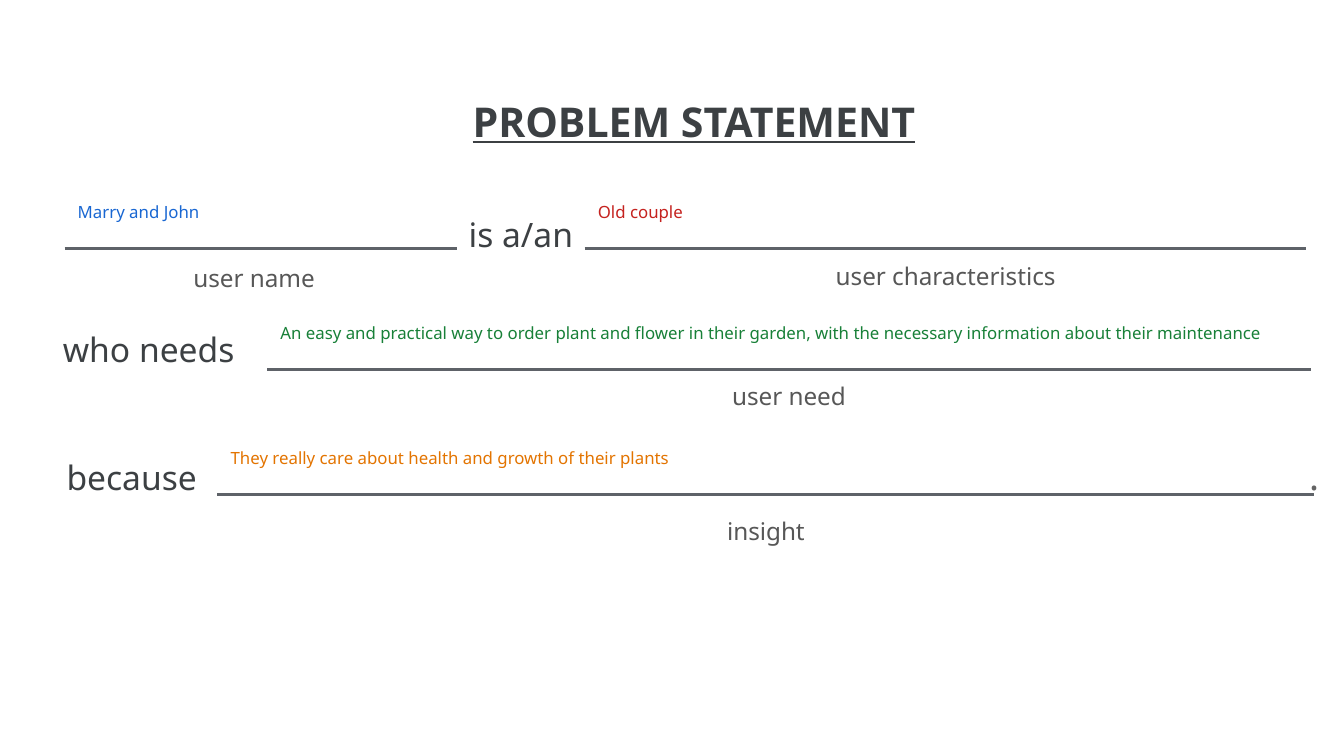
"""Build the fill-in-the-blank problem statement slide."""

import dataclasses

import lxml.etree
import pptx
import pptx.dml.color
import pptx.enum.shapes
import pptx.enum.text
import pptx.oxml.ns
import pptx.slide
import pptx.util

Cm = pptx.util.Cm
Align = pptx.enum.text.PP_ALIGN


@dataclasses.dataclass(frozen=True)
class Theme:
    font: str = "Noto Sans"
    ink: str = "3C4043"
    caption: str = "575757"
    full_stop: str = "646464"
    rule: str = "5E6268"
    name: str = "1967D2"
    characteristics: str = "C5221F"
    need: str = "188038"
    insight: str = "E37400"
    title_size: float = 22
    full_stop_size: float = 20
    phrase_size: float = 18
    caption_size: float = 13
    answer_size: float = 9
    rule_width: float = 1.5
    wide_inset: float = 0.25
    narrow_inset: float = 0.13
    answer_height: float = 1.07


THEME = Theme()


@dataclasses.dataclass(frozen=True)
class Label:
    text: str
    left: float
    top: float
    width: float
    height: float
    size: float
    colour: str
    align: Align = Align.CENTER
    inset: float = THEME.wide_inset
    heading: bool = False


@dataclasses.dataclass(frozen=True)
class Blank:
    left: float
    right: float
    rule_top: float
    answer: str
    colour: str
    caption: str
    caption_drop: float = 0
    caption_shift: float = 0


BLANKS = (
    Blank(1.22, 8.64, 4.7, "Marry and John", THEME.name, "user name", 0.02, -0.13),
    Blank(11.05, 24.69, 4.7, "Old couple", THEME.characteristics,
          "user characteristics", -0.02),
    Blank(5.05, 24.77, 6.98,
          "An easy and practical way to order plant and flower in their garden, "
          "with the necessary information about their maintenance",
          THEME.need, "user need", -0.02),
    Blank(4.11, 24.84, 9.35, "They really care about health and growth of their plants",
          THEME.insight, "insight", 0.15),
)

LABELS = (
    Label("PROBLEM STATEMENT", 1.09, 1.57, 24.05, 1.37, THEME.title_size, THEME.ink,
          heading=True),
    Label("is a/an", 8.64, 3.91, 2.41, 1.02, THEME.phrase_size, THEME.ink,
          inset=THEME.narrow_inset),
    Label("who needs", 0.23, 5.97, 5.16, 1.6, THEME.phrase_size, THEME.ink),
    Label("because", 0.23, 8.38, 4.52, 1.37, THEME.phrase_size, THEME.ink),
    Label(".", 24.61, 8.43, 0.79, 1.12, THEME.full_stop_size, THEME.full_stop,
          Align.LEFT, THEME.narrow_inset),
)


def rgb(colour: str) -> pptx.dml.color.RGBColor:
    """Turn a hex string into a colour."""
    return pptx.dml.color.RGBColor.from_string(colour)


def draw_label(slide: pptx.slide.Slide, label: Label) -> None:
    """Draw one line of text in its box."""
    shape = slide.shapes.add_textbox(
        Cm(label.left), Cm(label.top), Cm(label.width), Cm(label.height))
    frame = shape.text_frame
    frame.word_wrap = True
    frame.vertical_anchor = pptx.enum.text.MSO_ANCHOR.TOP
    frame.margin_left = frame.margin_right = Cm(label.inset)
    frame.margin_top = frame.margin_bottom = Cm(label.inset)
    paragraph = frame.paragraphs[0]
    paragraph.alignment = label.align
    run = paragraph.add_run()
    run.text = label.text
    run.font.name = THEME.font
    run.font.size = pptx.util.Pt(label.size)
    run.font.color.rgb = rgb(label.colour)
    run.font.bold = run.font.underline = label.heading


def draw_rule(slide: pptx.slide.Slide, blank: Blank) -> None:
    """Draw the line that an answer is written on."""
    connector = slide.shapes.add_connector(
        pptx.enum.shapes.MSO_CONNECTOR.STRAIGHT,
        Cm(blank.left), Cm(blank.rule_top), Cm(blank.right), Cm(blank.rule_top))
    connector.line.color.rgb = rgb(THEME.rule)
    connector.line.width = pptx.util.Pt(THEME.rule_width)
    lxml.etree.SubElement(connector.element.spPr, pptx.oxml.ns.qn("a:effectLst"))


def draw_blank(slide: pptx.slide.Slide, blank: Blank) -> None:
    """Draw a rule with its answer above and its caption below."""
    width = blank.right - blank.left
    draw_rule(slide, blank)
    draw_label(slide, Label(
        blank.caption, blank.left + blank.caption_shift,
        blank.rule_top + blank.caption_drop, width, 1.1,
        THEME.caption_size, THEME.caption))
    draw_label(slide, Label(
        blank.answer, blank.left, blank.rule_top - THEME.answer_height,
        width, THEME.answer_height, THEME.answer_size, blank.colour, Align.LEFT))


def main() -> None:
    """Build and save the presentation."""
    presentation = pptx.Presentation()
    presentation.slide_width = Cm(25.4)
    presentation.slide_height = Cm(14.29)
    slide = presentation.slides.add_slide(presentation.slide_layouts[6])
    for label in LABELS:
        draw_label(slide, label)
    for blank in BLANKS:
        draw_blank(slide, blank)
    presentation.save("out.pptx")


if __name__ == "__main__":
    main()
